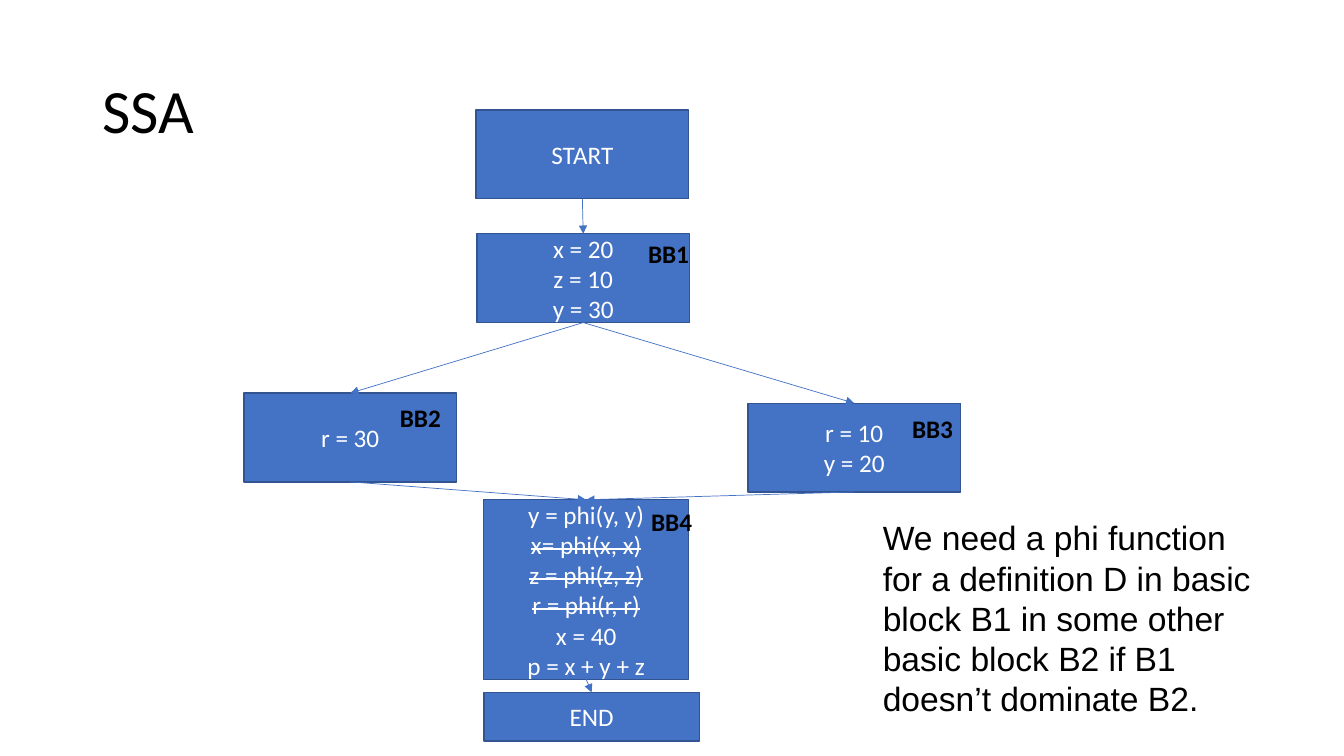
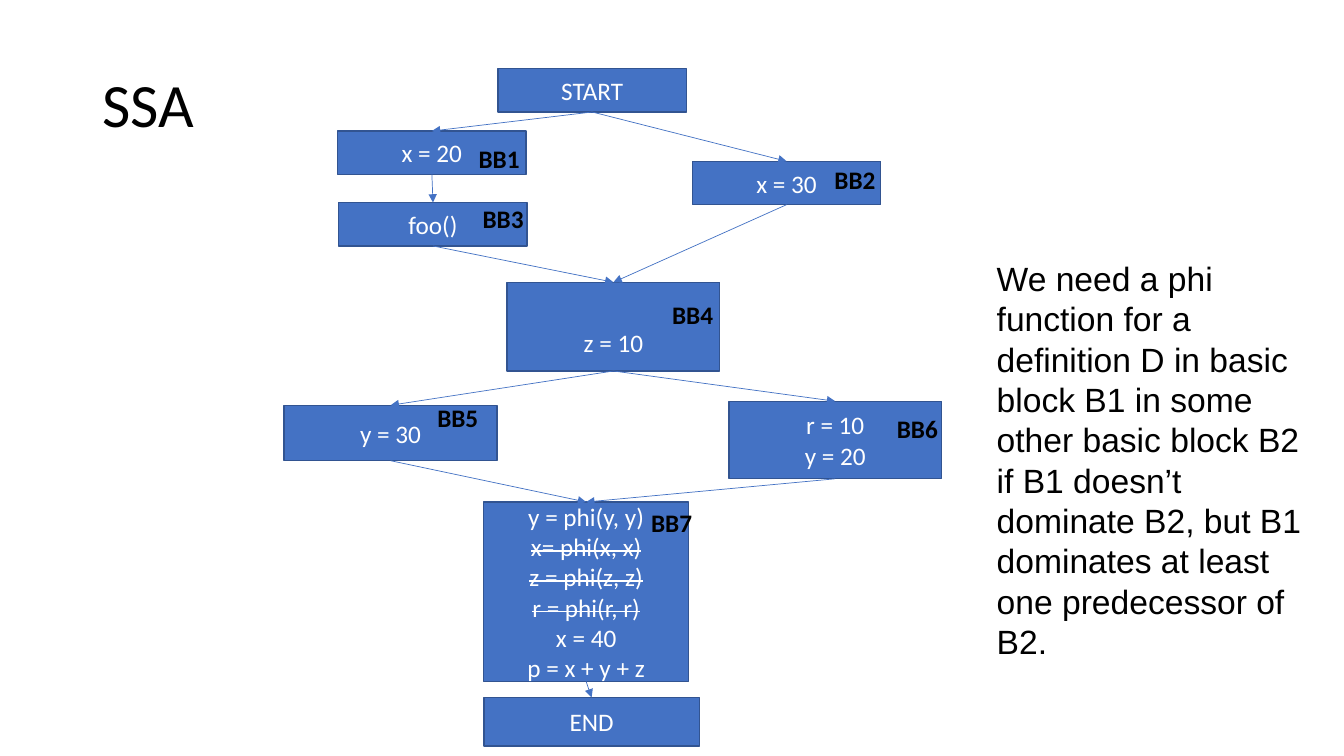
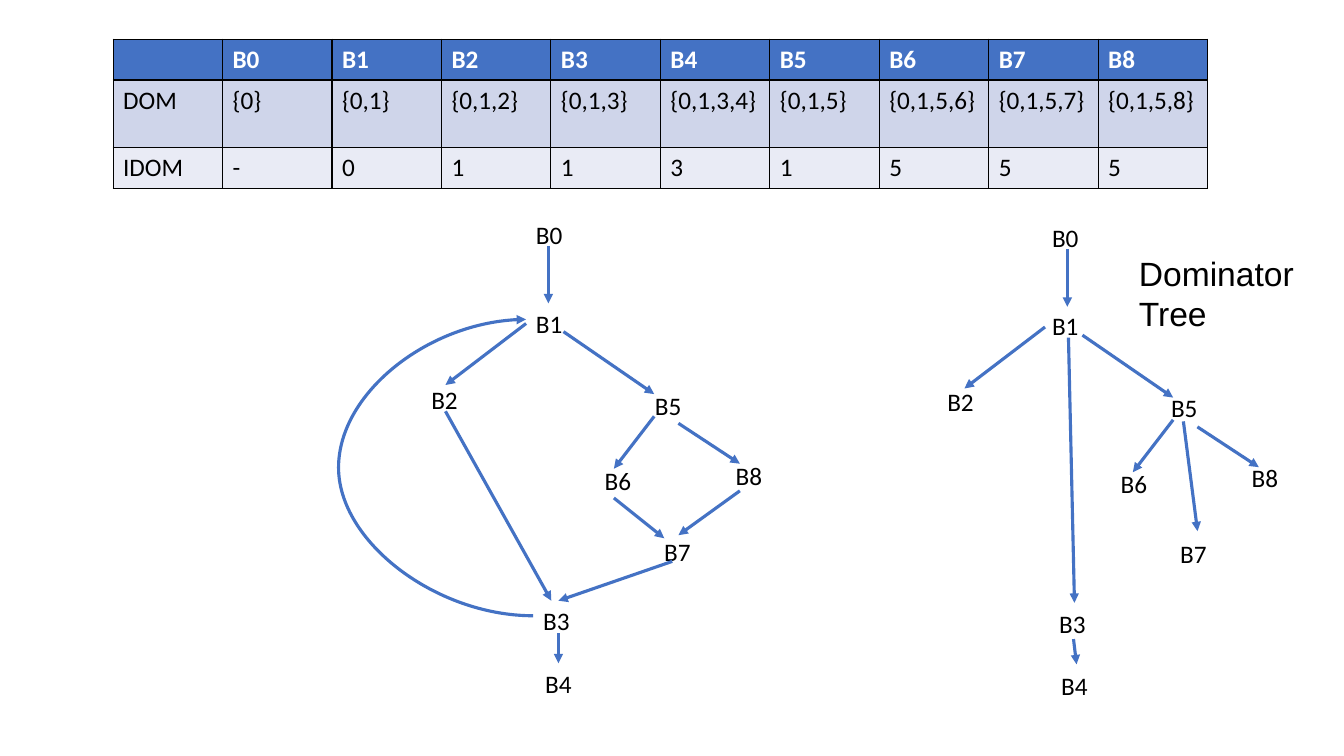
from lxml import etree
from pptx import Presentation
from pptx.dml.color import RGBColor
from pptx.enum.shapes import MSO_CONNECTOR, MSO_SHAPE
from pptx.enum.text import MSO_ANCHOR, PP_ALIGN
from pptx.oxml.ns import qn
from pptx.util import Pt

RECT = MSO_SHAPE.RECTANGLE
STRAIGHT, CURVE = MSO_CONNECTOR.STRAIGHT, MSO_CONNECTOR.CURVE
TOP, MIDDLE = MSO_ANCHOR.TOP, MSO_ANCHOR.MIDDLE
LEFT, CENTER = PP_ALIGN.LEFT, PP_ALIGN.CENTER
TOP_SIDE, BOTTOM_SIDE = 0, 2

COLORS = {
    "blue": "4472C4", "edge": "325491", "black": "000000", "white": "FFFFFF",
    "dom": "CFD5EA", "idom": "E9EBF5",
}
RGB = {name: RGBColor.from_string(value) for name, value in COLORS.items()}

# font, colour, alignment, anchor
STYLES = {
    "title": (dict(name="Calibri", size=Pt(44)), "black", LEFT, MIDDLE),
    "block": (dict(name="Calibri", size=Pt(18)), "white", CENTER, MIDDLE),
    "label": (dict(name="Calibri", size=Pt(18), bold=True), "black", LEFT, TOP),
    "node": (dict(name="Calibri", size=Pt(18)), "black", LEFT, TOP),
    "note": (dict(name="Arial", size=Pt(24)), "black", LEFT, TOP),
    "header": (dict(name="Calibri", size=Pt(18), bold=True), "white", LEFT, TOP),
    "cell": (dict(name="Calibri", size=Pt(18), bold=False), "black", LEFT, TOP),
}
STRUCK = {"x= phi(x, x)", "z = phi(z, z)", "r = phi(r, r)"}


def write(sp, lines, style):
    """Fill a shape or table cell with one paragraph per line."""
    font, color, align, anchor = STYLES[style]
    tf = sp.text_frame
    tf.word_wrap = True
    tf.vertical_anchor = anchor
    for i, line in enumerate(lines):
        p = tf.add_paragraph() if i else tf.paragraphs[0]
        p.alignment = align
        if style == "title":
            p.line_spacing = 0.9
        r = p.add_run()
        r.text = line
        for key, value in font.items():
            setattr(r.font, key, value)
        r.font.color.rgb = RGB[color]
        if line in STRUCK:
            r.font._element.set("strike", "sngStrike")


def add_arrow(s, ends, weight, kind=STRAIGHT):
    c = s.shapes.add_connector(kind, *map(Pt, ends))
    c.line.color.rgb = RGB["blue"]
    c.line.width = Pt(weight)
    etree.SubElement(c.line._get_or_add_ln(), qn("a:tailEnd"), type="triangle")
    etree.SubElement(c._element.spPr, qn("a:effectLst"))
    return c


PHI_BLOCK = ["y = phi(y, y)", "x= phi(x, x)", "z = phi(z, z)", "r = phi(r, r)",
             "x = 40", "p = x + y + z"]
RULE = ("We need a phi function for a definition D in basic block B1 "
        "in some other basic block B2 if B1 doesn’t dominate B2")

# Flow graphs: block name -> (box, lines); label name -> left, top
FLOW_SLIDES = [
    dict(
        title_top=28.8,
        blocks={
            "START": ((340, 78.5, 152, 63.4), ["START"]),
            "BB1": ((340.6, 167, 152, 63.4), ["x = 20", "z = 10", "y = 30"]),
            "BB2": ((174.2, 280.8, 152, 63.4), ["r = 30"]),
            "BB3": ((534.2, 288, 152, 63.4), ["r = 10", "y = 20"]),
            "BB4": ((345.6, 357, 146.2, 128.2), PHI_BLOCK),
            "END": ((345.6, 494.6, 154, 34.6), ["END"]),
        },
        edges=[("START", "BB1"), ("BB1", "BB2"), ("BB1", "BB3"),
               ("BB2", "BB4"), ("BB3", "BB4"), ("BB4", "END")],
        labels={"BB1": (455.8, 167), "BB2": (278.6, 283.7),
                "BB3": (644.4, 291.6), "BB4": (458, 357.8)},
        note=((623.5, 365.8, 285, 152.6), RULE + "."),
    ),
    dict(
        title_top=24.5,
        blocks={
            "START": ((355.7, 49, 134.6, 31), ["START"]),
            "BB1": ((241.2, 93.6, 134.6, 31), ["x = 20"]),
            "BB2": ((494.6, 115.2, 134.6, 31), ["x = 30"]),
            "BB3": ((242, 144.7, 134.6, 31), ["foo()"]),
            "BB4": ((362.2, 201.6, 152, 63.4), ["z = 10"]),
            "BB5": ((203, 289.5, 152, 39.6), ["y = 30"]),
            "BB6": ((520.6, 286.6, 152, 55.4), ["r = 10", "y = 20"]),
            "BB7": ((345.6, 358.6, 146.2, 128.2), PHI_BLOCK),
            "END": ((345.6, 498.2, 154, 34.6), ["END"]),
        },
        edges=[("START", "BB1"), ("START", "BB2"), ("BB1", "BB3"),
               ("BB2", "BB4"), ("BB3", "BB4"), ("BB4", "BB5"),
               ("BB4", "BB6"), ("BB5", "BB7"), ("BB6", "BB7"), ("BB7", "END")],
        labels={"BB1": (334.8, 98.6), "BB2": (589, 113.8), "BB3": (337.7, 141.8),
                "BB4": (473, 210.2), "BB5": (305.3, 283.7),
                "BB6": (633.6, 291.6), "BB7": (458, 358.6)},
        note=((704.9, 180.7, 239.8, 298),
              RULE + ", but B1 dominates at least one predecessor of B2."),
    ),
]

prs = Presentation()
prs.slide_width, prs.slide_height = Pt(960), Pt(540)
blank = prs.slide_layouts[6]

for flow in FLOW_SLIDES:
    s = prs.slides.add_slide(blank)
    title_box = (66, flow["title_top"], 828, 104.4)
    write(s.shapes.add_textbox(*map(Pt, title_box)), ["SSA"], "title")
    blocks = {}
    for name, (box, lines) in flow["blocks"].items():
        sp = blocks[name] = s.shapes.add_shape(RECT, *map(Pt, box))
        sp.shadow.inherit = False
        sp.fill.solid()
        sp.fill.fore_color.rgb = RGB["blue"]
        sp.line.color.rgb = RGB["edge"]
        sp.line.width = Pt(1)
        write(sp, lines, "block")
        if lines == ["z = 10"]:
            sp.text_frame.margin_top = Pt(25.6)  # sits one line lower
    for start, end in flow["edges"]:
        c = add_arrow(s, (0, 0, 0, 0), 0.5)
        c.begin_connect(blocks[start], BOTTOM_SIDE)
        c.end_connect(blocks[end], TOP_SIDE)
    for name, (x, y) in flow["labels"].items():
        write(s.shapes.add_textbox(Pt(x), Pt(y), Pt(78), Pt(29)), [name], "label")
    note_box, note = flow["note"]
    write(s.shapes.add_textbox(*map(Pt, note_box)), [note], "note")

# Dominators: table, control flow graph and dominator tree
s = prs.slides.add_slide(blank)
NODES = {
    "B0": (375.8, 153.4), "B1": (375.8, 216.7), "B2": (301, 270.7),
    "B5": (460.8, 275), "B6": (424.8, 329), "B8": (518.4, 325.4),
    "B7": (467.3, 379.4), "B3": (380.9, 429.1), "B4": (382.3, 473.8),
}
SHARED_ARROWS = [
    (391.7, 175.7, 391.7, 216.7), (375.8, 231.1, 318.2, 275),
    (402.5, 236.9, 467.3, 281.5), (467.3, 297.4, 438.5, 334.8),
    (484.6, 302.4, 528.5, 331.2),
]
FLOW_ARROWS = [
    (318.2, 293.8, 393.8, 429.1), (398.9, 452.2, 398.9, 473.8),
    (480.2, 401, 398.9, 429.1), (438.5, 355.7, 474.5, 384.5),
    (528.5, 350.6, 484.6, 382.3),
]
TREE_ARROWS = [
    (845.3, 301, 855.4, 379.4), (763.2, 241.2, 767.5, 430.6),
    (766.8, 456.5, 769, 474.5),
]
# node shift, arrow shift, arrows of this graph only
GRAPHS = [((0, 0), (0, 0), FLOW_ARROWS),
          ((368.6, 1.6), (370.7, 2.5), TREE_ARROWS)]
for (node_dx, node_dy), (dx, dy), own_arrows in GRAPHS:
    for name, (x, y) in NODES.items():
        sp = s.shapes.add_textbox(Pt(x + node_dx), Pt(y + node_dy), Pt(72), Pt(29))
        write(sp, [name], "node")
    shifted = [(x1 + dx, y1 + dy, x2 + dx, y2 + dy)
               for x1, y1, x2, y2 in SHARED_ARROWS]
    for ends in shifted + own_arrows:
        add_arrow(s, ends, 2.25)

back_edge = add_arrow(s, (380.9, 439.9, 375.8, 228.2), 2.25, CURVE)
guides = back_edge._element.spPr.find(qn("a:prstGeom")).get_or_add_avLst()
etree.SubElement(guides, qn("a:gd"), name="adj1", fmla="val 2725000")

ROWS = [
    ("blue", "header", 29.2, [""] + [f"B{i}" for i in range(9)]),
    ("dom", "cell", 48.4, ["DOM", "{0}", "{0,1}", "{0,1,2}", "{0,1,3}", "{0,1,3,4}",
                           "{0,1,5}", "{0,1,5,6}", "{0,1,5,7}", "{0,1,5,8}"]),
    ("idom", "cell", 29.2, ["IDOM", "-", *"01131555"]),
]
table = s.shapes.add_table(len(ROWS), 10, Pt(80.8), Pt(28), Pt(782), Pt(106.8)).table
for column in table.columns:
    column.width = Pt(78.2)
for row, (fill, style, height, texts) in enumerate(ROWS):
    table.rows[row].height = Pt(height)
    for col, text in enumerate(texts):
        cell = table.cell(row, col)
        write(cell, [text], style)
        tcPr = cell._tc.get_or_add_tcPr()
        for side in ("lnL", "lnR", "lnT", "lnB"):
            ln = etree.SubElement(tcPr, qn(f"a:{side}"), w=str(Pt(1)))
            paint = etree.SubElement(ln, qn("a:solidFill"))
            etree.SubElement(paint, qn("a:srgbClr"), val=COLORS["black"])
        cell.fill.solid()
        cell.fill.fore_color.rgb = RGB[fill]

tree_box = (806.4, 177, 153, 65.5)
write(s.shapes.add_textbox(*map(Pt, tree_box)), ["Dominator Tree"], "note")

prs.save("out.pptx")
